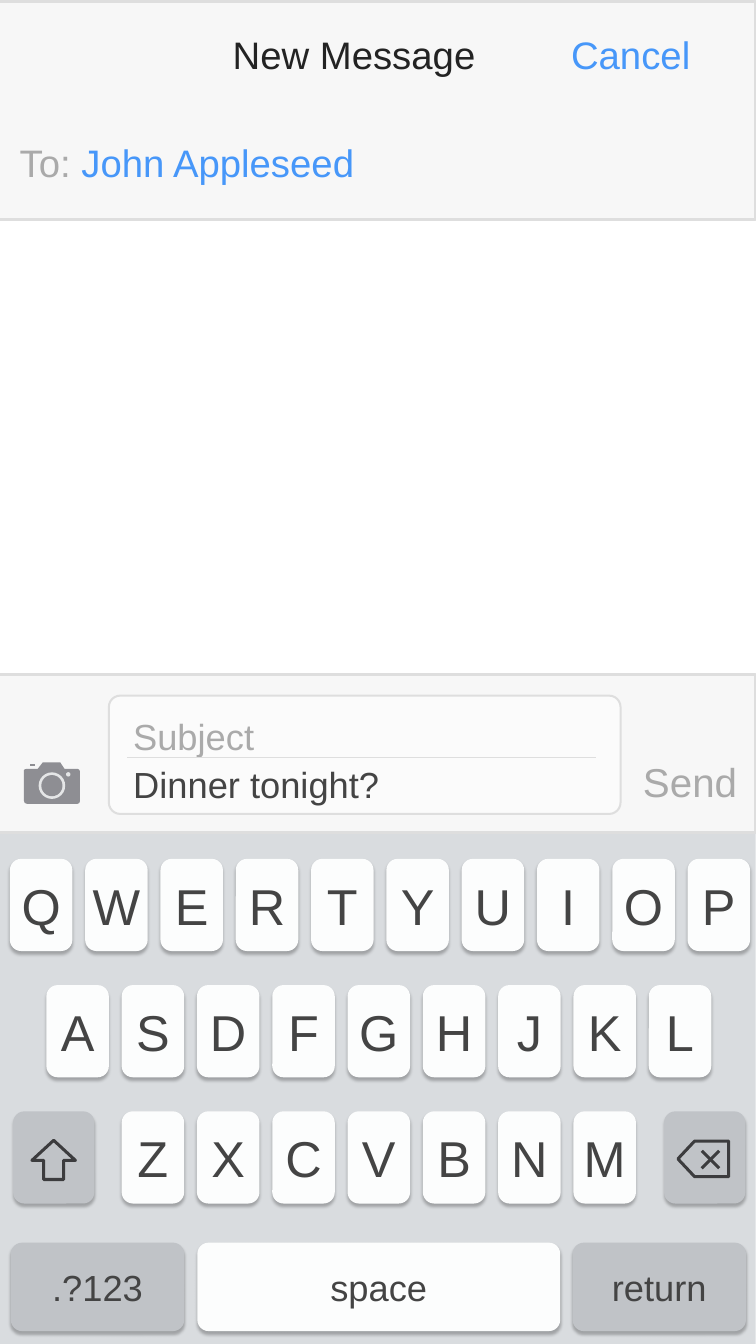
from dataclasses import dataclass
from typing import Any, Optional

from lxml import etree
from pptx import Presentation
from pptx import util as u
from pptx.dml import color
from pptx.enum import shapes, text
from pptx.oxml import ns
from pptx.shapes import autoshape, connector

Pt = u.Pt
KIND = shapes.MSO_SHAPE


@dataclass(frozen=True)
class Theme:
    font: str = "Arial"
    keyboard: str = "D9DCDF"
    bar: str = "F7F7F7"
    border: str = "DEDEDE"
    field: str = "FBFBFB"
    key: str = "FCFDFD"
    dark_key: str = "C0C3C7"
    glyph: str = "3C3C3E"
    camera: str = "8E8E93"
    glass: str = "E5E6E7"
    link: str = "4797F9"
    title: str = "232323"
    hint: str = "AAAAAA"
    ink: str = "444444"
    header_size: float = 38
    body_size: float = 36
    send_size: float = 40
    letter_size: float = 50


T = Theme()


@dataclass(frozen=True)
class Box:
    x: float
    y: float
    w: float
    h: float
    kind: Any = KIND.RECTANGLE
    fill: Optional[str] = None
    line: Optional[str] = None
    weight: float = 3
    adj: tuple[float, ...] = ()
    turn: float = 0


@dataclass(frozen=True)
class Key:
    label: str
    x: float
    y: float
    w: float = 62
    h: float = 91.5
    radius: float = 0.18
    fill: str = T.key
    size: float = T.letter_size


@dataclass(frozen=True)
class Line:
    x1: float
    y1: float
    x2: float
    y2: float
    color: str
    weight: float


def rgb(value: str) -> color.RGBColor:
    return color.RGBColor.from_string(value)


def style(s: autoshape.Shape, fill: Optional[str], line: Optional[str], weight: float = 3) -> None:
    s.shadow.inherit = False
    if fill:
        s.fill.solid()
        s.fill.fore_color.rgb = rgb(fill)
    else:
        s.fill.background()
    if line:
        s.line.color.rgb = rgb(line)
        s.line.width = Pt(weight)
    else:
        s.line.fill.background()


def draw_box(on: Any, b: Box) -> autoshape.Shape:
    s = on.add_shape(b.kind, Pt(b.x), Pt(b.y), Pt(b.w), Pt(b.h))
    for i, value in enumerate(b.adj):
        s.adjustments[i] = value
    s.rotation = b.turn
    style(s, b.fill, b.line, b.weight)
    return s


def draw_line(on: Any, ln: Line) -> connector.Connector:
    s = on.add_connector(shapes.MSO_CONNECTOR.STRAIGHT, Pt(ln.x1), Pt(ln.y1), Pt(ln.x2), Pt(ln.y2))
    s.line.color.rgb = rgb(ln.color)
    s.line.width = Pt(ln.weight)
    etree.SubElement(s._element.spPr, ns.qn("a:effectLst"))
    return s


def set_frame(s: autoshape.Shape, *, left: float, other: float, anchor: Any, wrap: bool = True) -> Any:
    tf = s.text_frame
    tf.margin_left = Pt(left)
    tf.margin_top = tf.margin_right = tf.margin_bottom = Pt(other)
    tf.vertical_anchor = anchor
    tf.word_wrap = wrap
    return tf


def write(p: Any, words: str, *, size: float, ink: str, align: Any = text.PP_ALIGN.LEFT,
          spacing: Optional[float] = None) -> None:
    p.alignment = align
    if spacing:
        p.line_spacing = spacing
    r = p.add_run()
    r.text = words
    r.font.name = T.font
    r.font.size = Pt(size)
    r.font.color.rgb = rgb(ink)


def add_tabs(p: Any, *stops: float) -> None:
    tabs = etree.SubElement(p._p.get_or_add_pPr(), ns.qn("a:tabLst"))
    for stop in stops:
        etree.SubElement(tabs, ns.qn("a:tab"), pos=str(int(Pt(stop))), algn="l")


def draw_key(on: Any, k: Key) -> None:
    s = draw_box(on, Box(k.x, k.y, k.w, k.h, KIND.ROUNDED_RECTANGLE, k.fill, adj=(k.radius,)))
    effects = s._element.spPr.find(ns.qn("a:effectLst"))
    shade = etree.SubElement(effects, ns.qn("a:outerShdw"), blurRad=str(int(Pt(3))),
                             dist=str(int(Pt(3))), dir="5400000", rotWithShape="0")
    black = etree.SubElement(shade, ns.qn("a:srgbClr"), val="000000")
    etree.SubElement(black, ns.qn("a:alpha"), val="25000")
    if k.label:
        tf = set_frame(s, left=0, other=0, anchor=text.MSO_ANCHOR.MIDDLE)
        write(tf.paragraphs[0], k.label, size=k.size, ink=T.ink, align=text.PP_ALIGN.CENTER)


def draw_header(on: Any) -> None:
    s = draw_box(on, Box(-1.4, 1.4, 751, 216.7, fill=T.bar, line=T.border))
    tf = set_frame(s, left=20.9, other=20.9, anchor=text.MSO_ANCHOR.TOP)
    p = tf.paragraphs[0]
    add_tabs(p, 211.3, 547)
    for words, ink in (("\tNew Message", T.title), ("\tCancel", T.link)):
        write(p, words, size=T.header_size, ink=ink, spacing=1.2)
    p = tf.add_paragraph()
    p.space_before = Pt(52.4)
    for words, ink in (("To:", T.hint), (" John Appleseed", T.link)):
        write(p, words, size=T.header_size, ink=ink, spacing=1.2)


def draw_camera(on: Any) -> None:
    body = [(23.8, 764.6), (24.5, 763.6), (26.6, 763.2), (37.4, 763.2), (42.5, 756.7),
            (59.8, 756.7), (64.1, 763.2), (77, 763.2), (78.6, 763.9), (79.2, 765.4),
            (79.2, 795.6), (78.6, 797.2), (77, 797.8), (26.6, 797.8), (24.5, 797), (23.8, 794.9)]
    outline = [(Pt(x), Pt(y)) for x, y in body]
    camera = on.add_group_shape().shapes
    builder = camera.build_freeform(*outline[0], scale=1.0)
    builder.add_line_segments(outline[1:], close=True)
    style(builder.convert_to_shape(), T.camera, None)
    draw_line(camera, Line(30.2, 758.9, 34.6, 758.9, T.camera, 2))
    for cx, cy, d, fill in ((67.7, 768.6, 4.4, T.glass), (51.5, 779.8, 26.4, T.glass),
                            (51.5, 779.8, 21, T.camera)):
        draw_box(camera, Box(cx - d / 2, cy - d / 2, d, d, KIND.OVAL, fill))


def draw_compose(on: Any) -> None:
    draw_box(on, Box(-1.4, 669.6, 751, 157, fill=T.bar, line=T.border))
    draw_camera(on)
    s = draw_box(on, Box(108, 690.5, 507.6, 117.4, KIND.ROUNDED_RECTANGLE, T.field, T.border, 2, (0.096,)))
    tf = set_frame(s, left=20.8, other=10.8, anchor=text.MSO_ANCHOR.TOP)
    write(tf.paragraphs[0], "Subject", size=T.body_size, ink=T.hint, spacing=1.1)
    write(tf.add_paragraph(), "Dinner tonight?", size=T.body_size, ink=T.ink, spacing=1.1)
    draw_line(on, Line(126, 751.7, 591.1, 751.7, T.border, 1))
    send = on.add_textbox(Pt(634.3), Pt(748.8), Pt(103.7), Pt(54))
    tf = set_frame(send, left=3.6, other=3.6, anchor=text.MSO_ANCHOR.MIDDLE, wrap=False)
    tf.auto_size = text.MSO_AUTO_SIZE.SHAPE_TO_FIT_TEXT
    write(tf.paragraphs[0], "Send", size=T.send_size, ink=T.hint)


def draw_keyboard(on: Any) -> None:
    pitch, top, row_step = 74.7, 852.5, 125.3
    rows = (("QWERTYUIOP", 9.8), ("ASDFGHJKL", 46), ("ZXCVBNM", 46 + pitch))
    for row, (letters, left) in enumerate(rows):
        for col, letter in enumerate(letters):
            draw_key(on, Key(letter, left + col * pitch, top + row * row_step))
    for label, x, w, fill in (("space", 195.8, 360, T.key), ("return", 568.1, 172, T.dark_key),
                              (".?123", 10.8, 172, T.dark_key)):
        draw_key(on, Key(label, x, 1233.4, w, 87.8, 0.127, fill, T.body_size))
    for x in (13, 658.8):
        draw_key(on, Key("", x, top + 2 * row_step, 80.6, radius=0.138, fill=T.dark_key))
    draw_box(on, Box(33.8, 1129.7, 38.9, 43.2, KIND.RIGHT_ARROW, line=T.glyph, adj=(0.456, 0.512), turn=270))
    draw_box(on, Box(672.5, 1132.6, 50.4, 35.3, KIND.RIGHT_ARROW, line=T.glyph, adj=(1, 0.469), turn=180))
    cross = on.add_group_shape().shapes
    for x1, x2 in ((713.5, 696.2), (696.2, 713.5)):
        draw_line(cross, Line(x1, 1142.3, x2, 1159.6, T.glyph, 3))


def main() -> None:
    prs = Presentation()
    prs.slide_width, prs.slide_height = Pt(750), Pt(1334)
    on = prs.slides.add_slide(prs.slide_layouts[6]).shapes
    draw_box(on, Box(-5, 826.6, 754.6, 507.4, fill=T.keyboard))
    draw_header(on)
    draw_compose(on)
    draw_keyboard(on)
    prs.save("out.pptx")


if __name__ == "__main__":
    main()
